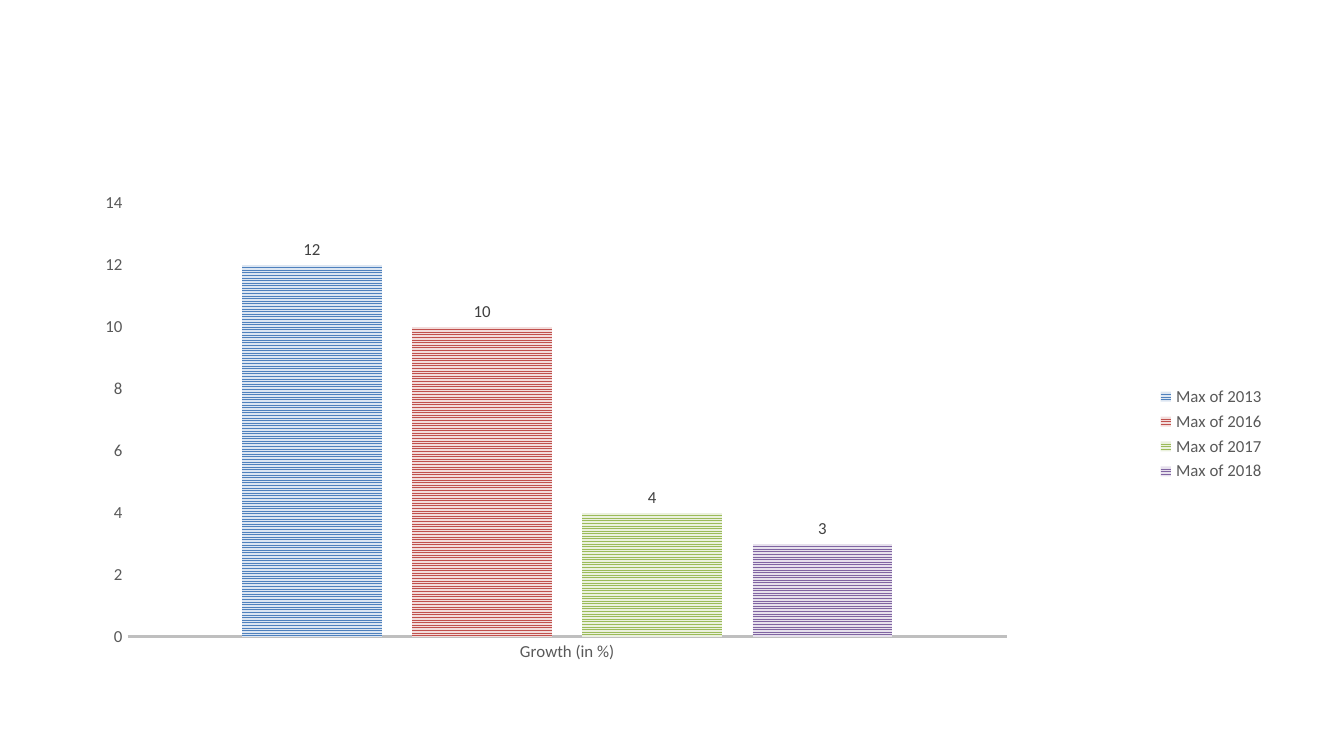
from lxml import etree
from pptx import Presentation
from pptx.chart.data import CategoryChartData
from pptx.dml.color import RGBColor
from pptx.enum import chart as ch, dml
from pptx.oxml import ns
from pptx.util import Inches, Pt

GREY = "595959"
WIDE, HIGH = 9.02, 3.84
BARS = [
    ("Max of 2013", 12, "4F81BD", "DCE6F2"),
    ("Max of 2016", 10, "C0504D", "F2DCDB"),
    ("Max of 2017", 4, "9BBB59", "EBF1DE"),
    ("Max of 2018", 3, "8064A2", "E6E0EC"),
]


def tint(color, code):
    color.rgb = RGBColor.from_string(code)


def style(font, size, code):
    font.name = "Calibri"
    font.size = Pt(size)
    tint(font.color, code)


def place_plot(chart, left, top, width, height):
    """Fix the inner plot area, given in inches within the chart."""
    area = chart._chartSpace.find(".//" + ns.qn("c:plotArea"))
    for old in area.findall(ns.qn("c:layout")):
        area.remove(old)
    layout = etree.Element(ns.qn("c:layout"))
    manual = etree.SubElement(layout, ns.qn("c:manualLayout"))
    rules = {"layoutTarget": "inner", "xMode": "edge", "yMode": "edge",
             "x": left / WIDE, "y": top / HIGH,
             "w": width / WIDE, "h": height / HIGH}
    for name, val in rules.items():
        etree.SubElement(manual, ns.qn("c:" + name), val=str(val))
    area.insert(0, layout)


def style_axis(axis):
    axis.has_major_gridlines = False
    axis.major_tick_mark = axis.minor_tick_mark = ch.XL_TICK_MARK.NONE
    style(axis.tick_labels.font, 9, GREY)


def style_bar(bar, fore, back):
    fill = bar.format.fill
    fill.patterned()
    fill.pattern = dml.MSO_PATTERN.NARROW_HORIZONTAL
    tint(fill.fore_color, fore)
    tint(fill.back_color, back)
    bar.format.line.fill.background()
    bar.invert_if_negative = False
    labels = bar.data_labels
    labels.show_value = True
    labels.position = ch.XL_LABEL_POSITION.OUTSIDE_END
    style(labels.font, 9, "404040")


def add_growth(slide):
    data = CategoryChartData()
    data.categories = ["Growth (in %)"]
    for name, val, _, _ in BARS:
        data.add_series(name, [val])
    chart = slide.shapes.add_chart(
        ch.XL_CHART_TYPE.COLUMN_CLUSTERED,
        Inches(0.49), Inches(1.31), Inches(WIDE), Inches(HIGH), data).chart
    style(chart.font, 10, "000000")
    chart.has_title = False

    chart.has_legend = True
    chart.legend.position = ch.XL_LEGEND_POSITION.RIGHT
    chart.legend.include_in_layout = False
    style(chart.legend.font, 9, GREY)

    base, scale = chart.category_axis, chart.value_axis
    for axis in (base, scale):
        style_axis(axis)
    line = base.format.line
    line.width = Pt(1.5)
    tint(line.color, "BFBFBF")
    scale.format.line.fill.background()

    plot = chart.plots[0]
    plot.gap_width, plot.overlap = 164, -22
    plot.vary_by_categories = False
    for bar, (_, _, fore, back) in zip(plot.series, BARS):
        style_bar(bar, fore, back)
    place_plot(chart, 0.46, 0.2, 6.54, 3.23)


def main():
    deck = Presentation()
    deck.slide_width = Inches(10)
    deck.slide_height = deck.slide_width * 9 // 16
    slide = deck.slides.add_slide(deck.slide_layouts[6])
    add_growth(slide)
    deck.save("out.pptx")


if __name__ == "__main__":
    main()
